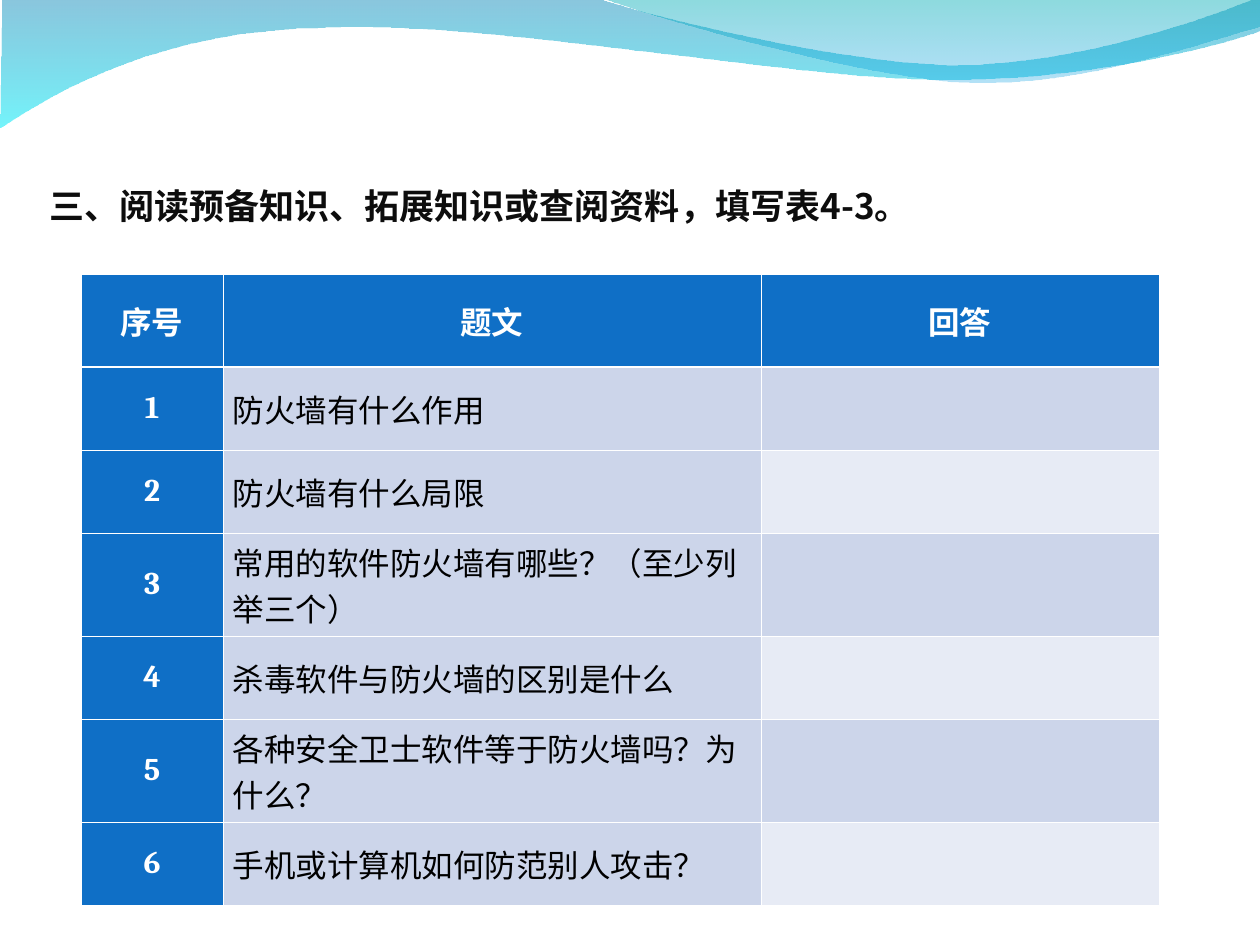
"""Build the firewall worksheet slide with its wave header and question table."""
from itertools import chain

from lxml.etree import SubElement
from pptx import Presentation
from pptx.dml.color import RGBColor as RGB
from pptx.enum.text import MSO_ANCHOR as Anchor, PP_ALIGN as Align
from pptx.oxml import parse_xml
from pptx.oxml.ns import nsdecls, qn
from pptx.util import Pt

PX = 914400 / 126
WHITE = RGB(0xFF, 0xFF, 0xFF)
BLACK = RGB(0x00, 0x00, 0x00)
INK = RGB(0x0D, 0x0D, 0x0D)
BLUE = RGB(0x0F, 0x6F, 0xC6)
BAND_DARK = RGB(0xCC, 0xD5, 0xEA)
BAND_LIGHT = RGB(0xE7, 0xEB, 0xF5)
DEEP_BLUE = RGB(0x00, 0x79, 0xAF)
CYAN = RGB(0x00, 0xEB, 0xF8)
TEAL = RGB(0x00, 0xAD, 0xB6)
SKY = RGB(0x00, 0x9B, 0xE5)

LEFT_WAVE = [
    [(557, -16)],
    [(601, 6), (838, 65), (958, 65)],
    [(1077, 65), (1210, 18), (1263, -4)],
    [(1264, 30)],
    [(1241, 40), (1099, 81), (942, 80)],
    [(786, 79), (484, 20), (326, 28)],
    [(165, 30), (60, 89), (1, 128)],
]
RIGHT_WAVE = [
    [(641, 14), (859, 78), (969, 82)],
    [(1079, 87), (1211, 40), (1260, 27)],
    [(1260, 0)],
]
HEADINGS = ["序号", "题文", "回答"]
QUESTIONS = [
    "防火墙有什么作用",
    "防火墙有什么局限",
    "常用的软件防火墙有哪些？（至少列举三个）",
    "杀毒软件与防火墙的区别是什么",
    "各种安全卫士软件等于防火墙吗？为什么？",
    "手机或计算机如何防范别人攻击？",
]


def emu(px):
    return round(px * PX)


class Worksheet:
    def __init__(self, slide):
        self.slide = slide
        self.title_font = "Noto Sans CJK SC"
        self.table_font = "Cambria"

    def style(self, paragraph, font, size, color, bold):
        paragraph.font.name = font
        paragraph.font.size = Pt(size)
        paragraph.font.color.rgb = color
        paragraph.font.bold = bold

    def bend(self, wave, segments):
        lines = iter(list(wave.element.spPr.iter(qn("a:lnTo"))))
        for segment in segments:
            first, *others = [next(lines) for _ in segment]
            if others:
                first.tag = qn("a:cubicBezTo")
                for line in others:
                    first.append(line[0])
                    line.getparent().remove(line)

    def wave(self, start, segments, stops):
        builder = self.slide.shapes.build_freeform(emu(start[0]), emu(start[1]))
        builder.add_line_segments(
            [(emu(x), emu(y)) for x, y in chain.from_iterable(segments)], close=True)
        wave = builder.convert_to_shape()
        self.bend(wave, segments)
        wave.shadow.inherit = False
        wave.line.fill.background()
        wave.fill.gradient()
        wave.fill.gradient_angle = 270
        for stop, (color, position, _) in zip(wave.fill.gradient_stops, stops):
            stop.color.rgb = color
            stop.position = position
        for tint, (_, _, opacity) in zip(wave.element.spPr.iter(qn("a:srgbClr")), stops):
            SubElement(tint, qn("a:alpha"), val=str(opacity * 1000))

    def title(self, text, left, top, width, height):
        title = self.slide.shapes.title
        title.left, title.top = emu(left), emu(top)
        title.width, title.height = emu(width), emu(height)
        frame = title.text_frame
        frame.text = text
        frame.word_wrap = True
        frame.vertical_anchor = Anchor.BOTTOM
        frame.margin_left = frame.margin_right = frame.margin_bottom = 0
        frame.margin_top = emu(6)
        heading = frame.paragraphs[0]
        heading.alignment = Align.LEFT
        heading.line_spacing = Pt(34)
        self.style(heading, self.title_font, 20, INK, True)
        self.slide.shapes.element.append(title.element)

    def borders(self, cell, **widths):
        properties = cell._tc.get_or_add_tcPr()
        for index, side in enumerate("LRTB"):
            properties.insert(index, parse_xml(
                f'<a:ln{side} {nsdecls("a")} w="{Pt(widths.get(side, 0.45))}">'
                f'<a:solidFill><a:srgbClr val="{WHITE}"/></a:solidFill></a:ln{side}>'))

    def cell(self, cell, text, fill, color, bold, alignment):
        cell.fill.solid()
        cell.fill.fore_color.rgb = fill
        cell.vertical_anchor = Anchor.MIDDLE
        cell.margin_left = cell.margin_right = emu(10)
        cell.margin_top = cell.margin_bottom = emu(6)
        cell.text = text
        entry = cell.text_frame.paragraphs[0]
        entry.alignment = alignment
        self.style(entry, self.table_font, 18, color, bold)

    def table(self, left, top, widths, heights):
        table = self.slide.shapes.add_table(
            len(heights), len(widths), emu(left), emu(top),
            emu(sum(widths)), emu(sum(heights))).table
        for column, width in zip(table.columns, widths):
            column.width = emu(width)
        for row, height in zip(table.rows, heights):
            row.height = emu(height)
        for column, heading in enumerate(HEADINGS):
            self.cell(table.cell(0, column), heading, BLUE, WHITE, True, Align.CENTER)
            self.borders(table.cell(0, column), B=1.47)
        for number, question in enumerate(QUESTIONS, 1):
            label, prompt, answer = table.rows[number].cells
            band = BAND_DARK if number % 2 else BAND_LIGHT
            self.cell(label, str(number), BLUE, WHITE, True, Align.CENTER)
            self.cell(prompt, question, BAND_DARK, BLACK, False, Align.LEFT)
            self.cell(answer, "", band, BLACK, False, Align.LEFT)
            for cell in (label, prompt, answer):
                self.borders(cell, T=1.47 if number == 1 else 0.45)


def main():
    deck = Presentation()
    deck.slide_width, deck.slide_height = emu(1260), emu(945)
    sheet = Worksheet(deck.slides.add_slide(deck.slide_layouts[5]))
    sheet.wave((3, -15), LEFT_WAVE, [(DEEP_BLUE, 0, 45), (CYAN, 1, 55)])
    sheet.wave((604, -1), RIGHT_WAVE, [(TEAL, 0, 45), (SKY, 1, 30)])
    sheet.table(81, 274, [142, 538, 398], [93, 83, 83, 84, 83, 84, 83])
    sheet.title("三、阅读预备知识、拓展知识或查阅资料，填写表4-3。", 49, 69, 1134, 158)
    deck.save("out.pptx")


if __name__ == "__main__":
    main()
